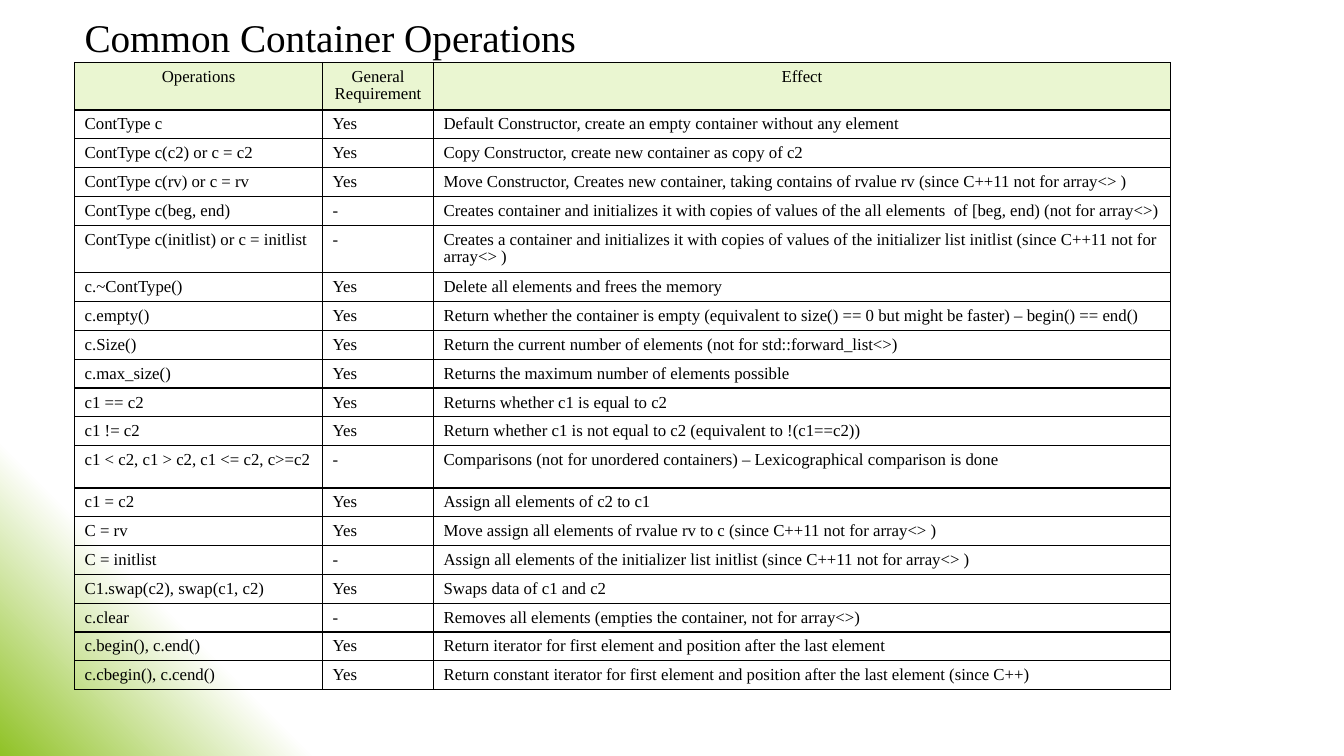
from dataclasses import dataclass

from lxml import etree
from pptx import Presentation
from pptx import util as u
from pptx.dml import color
from pptx.enum import text
from pptx.oxml import ns


@dataclass(frozen=True)
class Theme:
    """Colours, font, type sizes and spacing of the slide."""
    ink: str = "000000"
    paper: str = "FFFFFF"
    accent: str = "90C226"
    header: str = "EAF6D1"
    font: str = "Times New Roman"
    title_size: int = 28
    table_size: int = 12
    table_spacing: float = 0.93
    border: int = 1


THEME = Theme()
HEADINGS = ("Operations", "General Requirement", "Effect")
COLUMN_WIDTHS = (2.46, 1.1, 7.31)
ROW_HEIGHT = 0.25
TALL_ROW_HEIGHT = 0.42
TALL_ROWS = (0, 5, 12)
OPERATIONS = (
    ("ContType c", "Yes", "Default Constructor, create an empty container without any element"),
    ("ContType c(c2) or c = c2", "Yes", "Copy Constructor, create new container as copy of c2"),
    ("ContType c(rv) or c = rv", "Yes",
     "Move Constructor, Creates new container, taking contains of rvalue rv (since C++11 not for array<> )"),
    ("ContType c(beg, end)", "-",
     "Creates container and initializes it with copies of values of the all elements  of [beg, end) "
     "(not for array<>)"),
    ("ContType c(initlist) or c = initlist", "-",
     "Creates a container and initializes it with copies of values of the initializer list initlist "
     "(since C++11 not for array<> )"),
    ("c.~ContType()", "Yes", "Delete all elements and frees the memory"),
    ("c.empty()", "Yes",
     "Return whether the container is empty (equivalent to size() == 0 but might be faster) – begin() == end()"),
    ("c.Size()", "Yes", "Return the current number of elements (not for std::forward_list<>)"),
    ("c.max_size()", "Yes", "Returns the maximum number of elements possible"),
    ("c1 == c2", "Yes", "Returns whether c1 is equal to c2"),
    ("c1 != c2", "Yes", "Return whether c1 is not equal to c2 (equivalent to !(c1==c2))"),
    ("c1 < c2, c1 > c2, c1 <= c2, c>=c2", "-",
     "Comparisons (not for unordered containers) – Lexicographical comparison is done"),
    ("c1 = c2", "Yes", "Assign all elements of c2 to c1"),
    ("C = rv", "Yes", "Move assign all elements of rvalue rv to c (since C++11 not for array<> )"),
    ("C = initlist", "-",
     "Assign all elements of the initializer list initlist (since C++11 not for array<> )"),
    ("C1.swap(c2), swap(c1, c2)", "Yes", "Swaps data of c1 and c2"),
    ("c.clear", "-", "Removes all elements (empties the container, not for array<>)"),
    ("c.begin(), c.end()", "Yes", "Return iterator for first element and position after the last element"),
    ("c.cbegin(), c.cend()", "Yes",
     "Return constant iterator for first element and position after the last element (since C++)"),
)


def add_child(parent, tag, **attributes):
    """Append a drawing element to parent and return it."""
    child = etree.SubElement(parent, ns.qn(f"a:{tag}"))
    for name, value in attributes.items():
        child.set(name, str(value))
    return child


def write(frame, content, *, size, align=text.PP_ALIGN.LEFT, spacing=1.0):
    """Put one formatted paragraph into a text frame."""
    frame.word_wrap = True
    paragraph = frame.paragraphs[0]
    paragraph.alignment = align
    paragraph.line_spacing = spacing
    run = paragraph.add_run()
    run.text = content
    run.font.name = THEME.font
    run.font.size = u.Pt(size)
    run.font.color.rgb = color.RGBColor.from_string(THEME.ink)


def paint_background(slide):
    """Fill the background with a glow from the bottom left corner."""
    slide.background.fill.solid()
    properties = slide.element.find(f".//{ns.qn('p:bgPr')}")
    properties.remove(properties[0])
    gradient = etree.Element(ns.qn("a:gradFill"), rotWithShape="1")
    properties.insert(0, gradient)
    stops = add_child(gradient, "gsLst")
    for percent, value in ((0, THEME.paper), (85, THEME.paper), (100, THEME.accent)):
        add_child(add_child(stops, "gs", pos=percent * 1000), "srgbClr", val=value)
    circle = add_child(gradient, "path", path="circle")
    add_child(circle, "fillToRect", l=100000, b=100000)


def add_title(slide, content):
    """Add the slide title."""
    box = slide.shapes.add_textbox(u.Inches(0.74), u.Inches(0.08), u.Inches(9.4), u.Inches(0.8))
    write(box.text_frame, content, size=THEME.title_size)


def draw_borders(cell):
    """Draw a line on each side of a cell."""
    properties = cell._tc.get_or_add_tcPr()
    for side in ("lnL", "lnR", "lnT", "lnB"):
        line = add_child(properties, side, w=u.Pt(THEME.border))
        add_child(add_child(line, "solidFill"), "srgbClr", val=THEME.ink)


def fill_cell(cell, content, is_header):
    """Format one table cell and write its text."""
    draw_borders(cell)
    cell.margin_top = u.Inches(0.06)
    cell.margin_bottom = u.Inches(0.04)
    if is_header:
        cell.fill.solid()
        cell.fill.fore_color.rgb = color.RGBColor.from_string(THEME.header)
    else:
        cell.fill.background()
    align = text.PP_ALIGN.CENTER if is_header else text.PP_ALIGN.LEFT
    write(cell.text_frame, content, size=THEME.table_size, align=align, spacing=THEME.table_spacing)


def add_operations_table(slide):
    """Add the table of container operations."""
    rows = (HEADINGS, *OPERATIONS)
    heights = [TALL_ROW_HEIGHT if i in TALL_ROWS else ROW_HEIGHT for i in range(len(rows))]
    table = slide.shapes.add_table(
        len(rows), len(HEADINGS), u.Inches(0.74), u.Inches(0.62),
        u.Inches(sum(COLUMN_WIDTHS)), u.Inches(sum(heights))).table
    table.first_row = False
    table.horz_banding = False
    for column, width in zip(table.columns, COLUMN_WIDTHS):
        column.width = u.Inches(width)
    for i, (row, height, values) in enumerate(zip(table.rows, heights, rows)):
        row.height = u.Inches(height)
        for cell, content in zip(row.cells, values):
            fill_cell(cell, content, is_header=i == 0)


def main():
    """Build and save the presentation."""
    presentation = Presentation()
    presentation.slide_width = u.Inches(13.33)
    presentation.slide_height = u.Inches(7.5)
    slide = presentation.slides.add_slide(presentation.slide_layouts[6])
    paint_background(slide)
    add_title(slide, "Common Container Operations")
    add_operations_table(slide)
    presentation.save("out.pptx")


if __name__ == "__main__":
    main()
